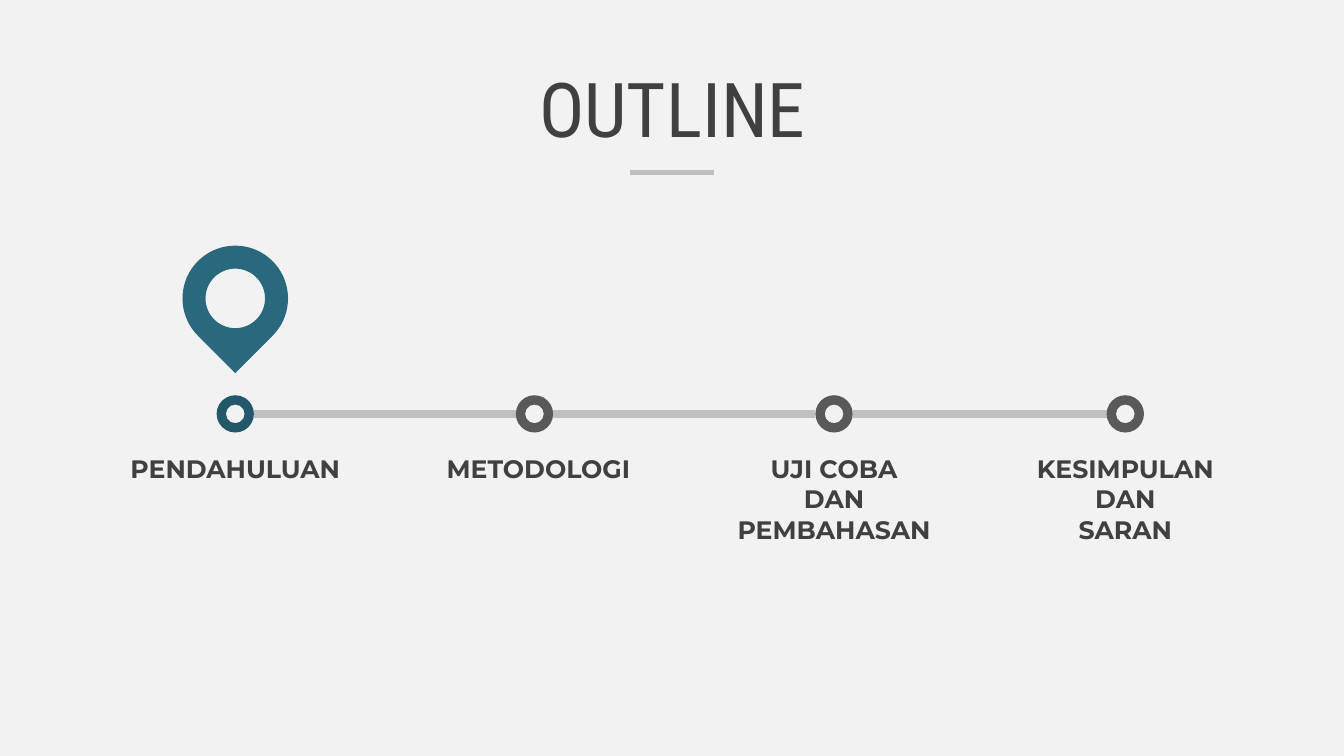
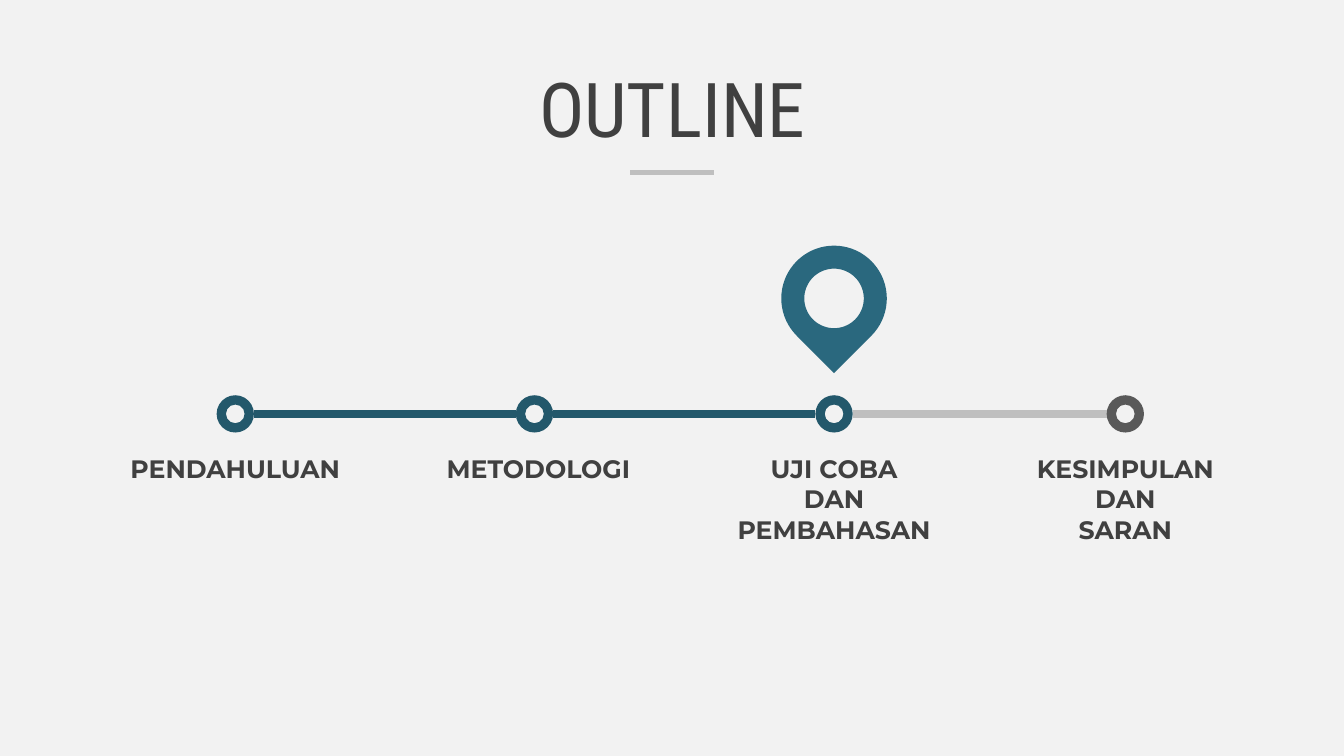
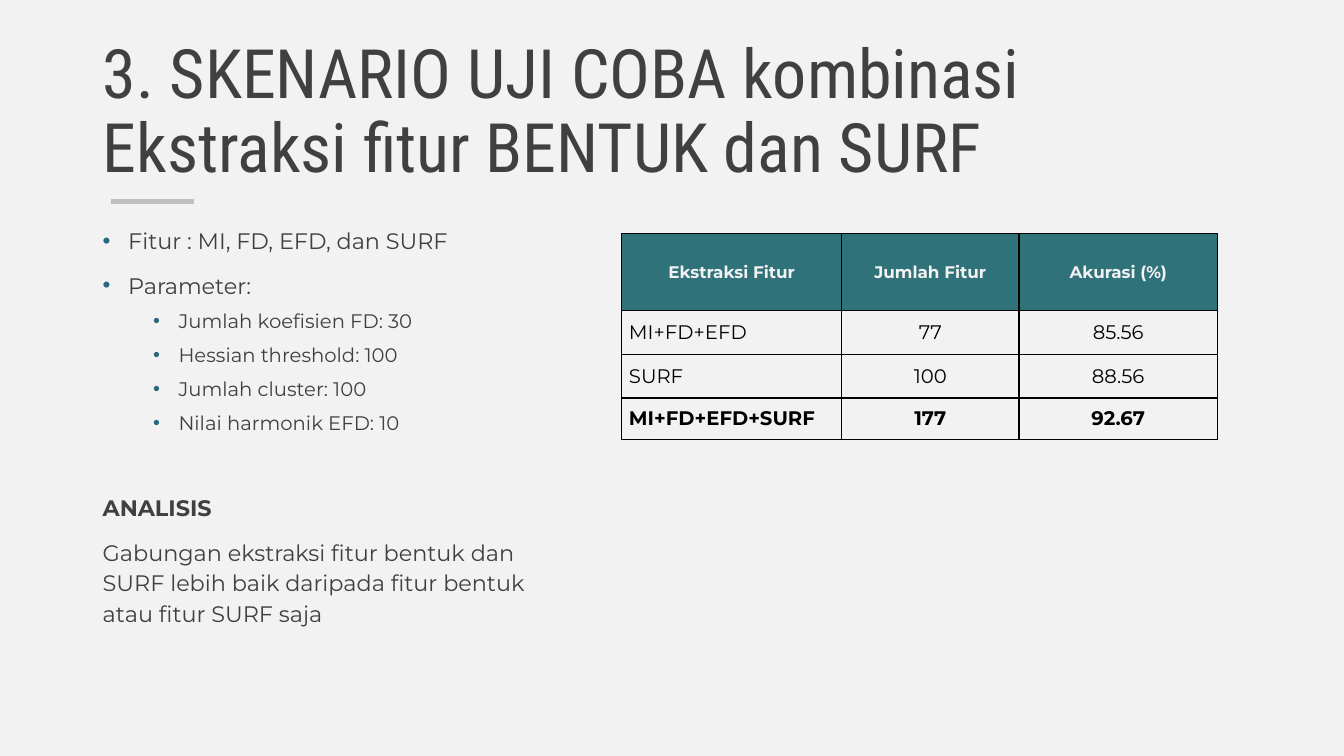
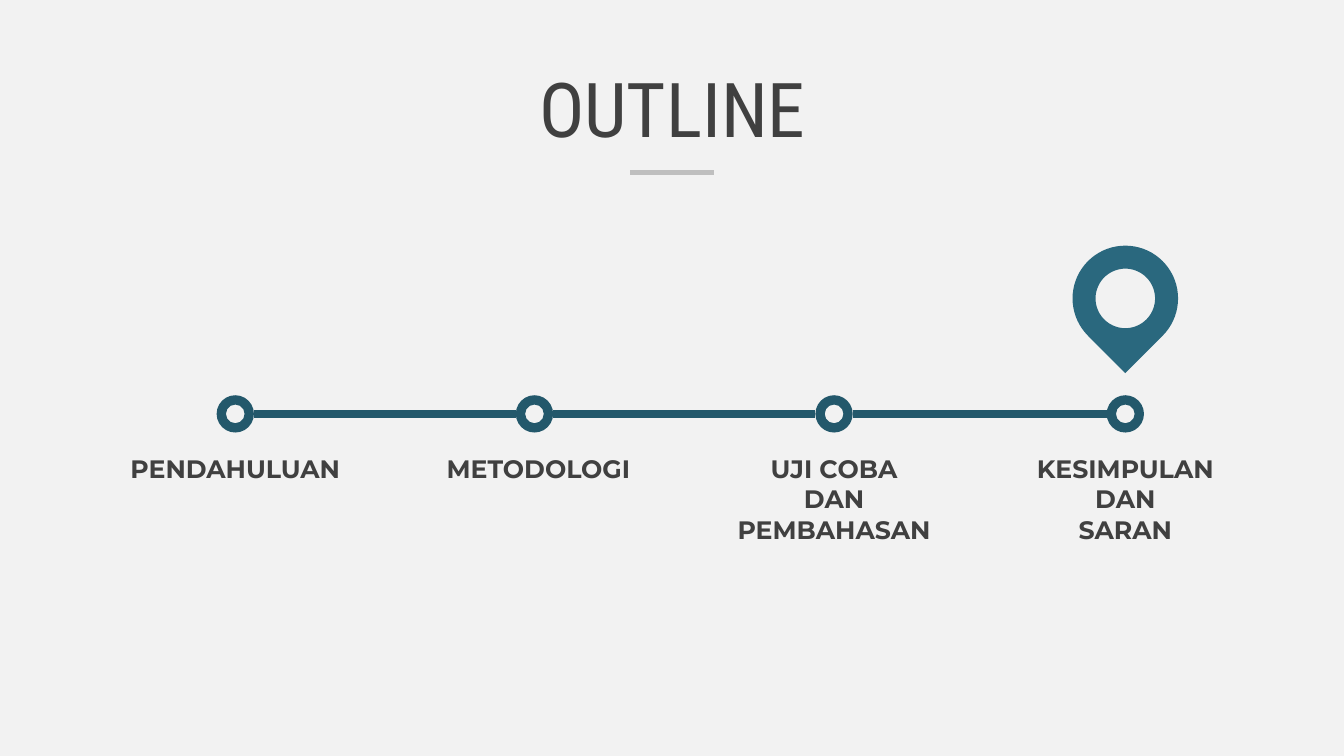
from dataclasses import dataclass
from math import cos, radians, sin, sqrt

from lxml import etree
from pptx import Presentation
from pptx.dml.color import RGBColor
from pptx.enum.shapes import MSO_CONNECTOR, MSO_SHAPE
from pptx.enum.text import MSO_ANCHOR, PP_ALIGN
from pptx.oxml.ns import qn
from pptx.util import Cm, Pt

STRAIGHT = MSO_CONNECTOR.STRAIGHT
DONUT = MSO_SHAPE.DONUT
LEFT = PP_ALIGN.LEFT
CENTER = PP_ALIGN.CENTER
TOP = MSO_ANCHOR.TOP
MIDDLE = MSO_ANCHOR.MIDDLE


@dataclass(frozen=True)
class Theme:
    background: str = "F2F2F2"
    text: str = "404040"
    rule: str = "BFBFBF"
    pending: str = "595959"
    reached: str = "23586B"
    accent: str = "2A687E"
    table_head: str = "2F7279"
    black: str = "000000"
    title_font: str = "Roboto Condensed"
    body_font: str = "Montserrat"
    outline_title: float = 54
    content_title: float = 48.6
    label: float = 18
    body: float = 16
    detail: float = 14
    head: float = 12
    rule_width: float = 3.25
    track_width: float = 6
    border_width: float = 1


THEME = Theme()

SLIDE_WIDTH = 33.87
SLIDE_HEIGHT = 19.05
MARGIN = 2.34
RULE_LENGTH = 2.1

TRACK_Y = 10.43
STOP_SIZE = 0.94
PIN_Y = 7.52
PIN_RADIUS = 1.33
PIN_HOLE = 0.75
LABEL_TOP = 11.3
LABEL_WIDTH = 5.87
LABEL_LINE = 0.78
LABEL_PADDING = 0.25

STOPS = [
    (5.93, 5.93, ["PENDAHULUAN"]),
    (13.47, 13.57, ["METODOLOGI"]),
    (21.02, 21.02, ["UJI COBA", "DAN", "PEMBAHASAN"]),
    (28.36, 28.36, ["KESIMPULAN", "DAN", "SARAN"]),
]

PARAMETERS = [
    "Jumlah koefisien FD: 30",
    "Hessian threshold: 100",
    "Jumlah cluster: 100",
    "Nilai harmonik EFD: 10",
]

RESULTS = [
    ["Ekstraksi Fitur", "Jumlah Fitur", "Akurasi (%)"],
    ["MI+FD+EFD", "77", "85.56"],
    ["SURF", "100", "88.56"],
    ["MI+FD+EFD+SURF", "177", "92.67"],
]
RESULT_COLUMNS = [5.54, 4.47, 5.0]
RESULT_ROWS = [1.93, 1.12, 1.09, 1.04]


def rgb(value):
    return RGBColor.from_string(value)


def add_bullet(paragraph, level):
    properties = paragraph._p.get_or_add_pPr()
    properties.set("marL", str(Cm(0.64 + 1.27 * level)))
    properties.set("indent", str(-Cm(0.64)))
    color = etree.SubElement(properties, qn("a:buClr"))
    etree.SubElement(color, qn("a:srgbClr"), val=THEME.accent)
    etree.SubElement(properties, qn("a:buFont"), typeface="Arial")
    etree.SubElement(properties, qn("a:buChar"), char="•")
    paragraph.level = level


def write(frame, text, *, size, color=THEME.text, font=THEME.body_font,
          bold=False, align=LEFT, spacing=1.0, before=0, bullet_level=None):
    paragraph = frame.paragraphs[0]
    if paragraph.text:
        paragraph = frame.add_paragraph()
        paragraph.space_before = Pt(before)
    if bullet_level is not None:
        add_bullet(paragraph, bullet_level)
    paragraph.alignment = align
    paragraph.line_spacing = spacing
    run = paragraph.add_run()
    run.text = text
    run.font.size = Pt(size)
    run.font.name = font
    run.font.bold = bold
    run.font.color.rgb = rgb(color)


def add_frame(slide, left, top, width, height, anchor=TOP, wrap=True):
    frame = slide.shapes.add_textbox(
        Cm(left), Cm(top), Cm(width), Cm(height)).text_frame
    frame.word_wrap = wrap
    frame.vertical_anchor = anchor
    return frame


def add_line(slide, start, end, y, color, width):
    connector = slide.shapes.add_connector(
        STRAIGHT, Cm(start), Cm(y), Cm(end), Cm(y))
    connector.line.color.rgb = rgb(color)
    connector.line.width = Pt(width)
    etree.SubElement(connector._element.spPr, qn("a:effectLst"))


def paint(shape, color):
    shape.shadow.inherit = False
    shape.fill.solid()
    shape.fill.fore_color.rgb = rgb(color)
    shape.line.fill.background()


def add_title(slide, text, size, align, rule_left, rule_y):
    frame = add_frame(slide, MARGIN, 1.02, 29.21, 3.68, anchor=MIDDLE)
    write(frame, text, size=size, font=THEME.title_font, align=align,
          spacing=0.9)
    add_line(slide, rule_left, rule_left + RULE_LENGTH, rule_y,
             THEME.rule, THEME.rule_width)


def add_stop(slide, x, color):
    ring = slide.shapes.add_shape(
        DONUT, Cm(x - STOP_SIZE / 2), Cm(TRACK_Y - STOP_SIZE / 2),
        Cm(STOP_SIZE), Cm(STOP_SIZE))
    paint(ring, color)


def arc(x, y, radius, angles):
    return [(Cm(x + radius * cos(radians(angle))),
             Cm(y + radius * sin(radians(angle)))) for angle in angles]


def add_pin(slide, x):
    tip = (Cm(x), Cm(PIN_Y + PIN_RADIUS * sqrt(2)))
    bulb = arc(x, PIN_Y, PIN_RADIUS, range(135, 406, 5))
    hole = arc(x, PIN_Y, PIN_HOLE, range(360, 0, -5))
    outline = slide.shapes.build_freeform(*tip, scale=1.0)
    outline.add_line_segments(bulb, close=True)
    outline.move_to(*hole[0])
    outline.add_line_segments(hole[1:], close=True)
    paint(outline.convert_to_shape(), THEME.accent)


def add_label(slide, x, lines):
    frame = add_frame(slide, x - LABEL_WIDTH / 2, LABEL_TOP, LABEL_WIDTH,
                      LABEL_LINE * len(lines) + LABEL_PADDING, wrap=False)
    for line in lines:
        write(frame, line, size=THEME.label, bold=True, align=CENTER)


def add_outline_slide(deck, current):
    slide = deck.slides.add_slide(deck.slide_layouts[6])
    add_title(slide, "OUTLINE", THEME.outline_title, CENTER,
              (SLIDE_WIDTH - RULE_LENGTH) / 2, 4.34)
    previous = None
    for index, (x, label_x, lines) in enumerate(STOPS):
        reached = index <= current
        if previous is not None:
            add_line(slide, previous + STOP_SIZE / 2, x - STOP_SIZE / 2,
                     TRACK_Y, THEME.reached if reached else THEME.rule,
                     THEME.track_width)
        add_stop(slide, x, THEME.reached if reached else THEME.pending)
        add_label(slide, label_x, lines)
        previous = x
    add_pin(slide, STOPS[current][0])


def add_borders(cell):
    properties = cell._tc.get_or_add_tcPr()
    for position, side in enumerate(("lnL", "lnR", "lnT", "lnB")):
        border = etree.Element(qn(f"a:{side}"),
                               w=str(Pt(THEME.border_width)))
        fill = etree.SubElement(border, qn("a:solidFill"))
        etree.SubElement(fill, qn("a:srgbClr"), val=THEME.black)
        properties.insert(position, border)


def fill_cell(cell, text, row, column):
    heading = row == 0
    cell.margin_left = cell.margin_right = Cm(0.18)
    cell.margin_top = cell.margin_bottom = 0
    cell.vertical_anchor = MIDDLE
    if heading:
        cell.fill.solid()
        cell.fill.fore_color.rgb = rgb(THEME.table_head)
    else:
        cell.fill.background()
    add_borders(cell)
    write(cell.text_frame, text,
          size=THEME.head if heading else THEME.detail,
          color=THEME.background if heading else THEME.black,
          bold=heading or row == len(RESULTS) - 1,
          align=CENTER if heading or column else LEFT)


def add_results(slide):
    table = slide.shapes.add_table(
        len(RESULTS), len(RESULT_COLUMNS), Cm(15.67), Cm(5.89),
        Cm(sum(RESULT_COLUMNS)), Cm(sum(RESULT_ROWS))).table
    table.first_row = False
    table.horz_banding = False
    for column, width in zip(table.columns, RESULT_COLUMNS):
        column.width = Cm(width)
    for row, height in zip(table.rows, RESULT_ROWS):
        row.height = Cm(height)
    for row, values in enumerate(RESULTS):
        for column, value in enumerate(values):
            fill_cell(table.cell(row, column), value, row, column)


def add_scenario_slide(deck):
    slide = deck.slides.add_slide(deck.slide_layouts[6])
    add_title(
        slide,
        "3. SKENARIO UJI COBA kombinasi Ekstraksi fitur BENTUK dan SURF",
        THEME.content_title, LEFT, 2.79, 5.08)

    setup = add_frame(slide, MARGIN, 5.51, 11.38, 6.3)
    for text in ("Fitur : MI, FD, EFD, dan SURF", "Parameter:"):
        write(setup, text, size=THEME.body, spacing=1.14, before=10,
              bullet_level=0)
    for text in PARAMETERS:
        write(setup, text, size=THEME.detail, spacing=1.14, before=5,
              bullet_level=1)

    add_results(slide)

    analysis = add_frame(slide, MARGIN, 12.24, 11.68, 5.13)
    write(analysis, "ANALISIS", size=THEME.body, bold=True, spacing=1.14)
    write(analysis,
          "Gabungan ekstraksi fitur bentuk dan SURF lebih baik daripada "
          "fitur bentuk atau fitur SURF saja",
          size=THEME.body, spacing=1.14, before=10)


def main():
    deck = Presentation()
    deck.slide_width = Cm(SLIDE_WIDTH)
    deck.slide_height = Cm(SLIDE_HEIGHT)
    backdrop = deck.slide_master.background.fill
    backdrop.solid()
    backdrop.fore_color.rgb = rgb(THEME.background)

    add_outline_slide(deck, current=0)
    add_outline_slide(deck, current=2)
    add_scenario_slide(deck)
    add_outline_slide(deck, current=3)
    deck.save("out.pptx")


if __name__ == "__main__":
    main()
